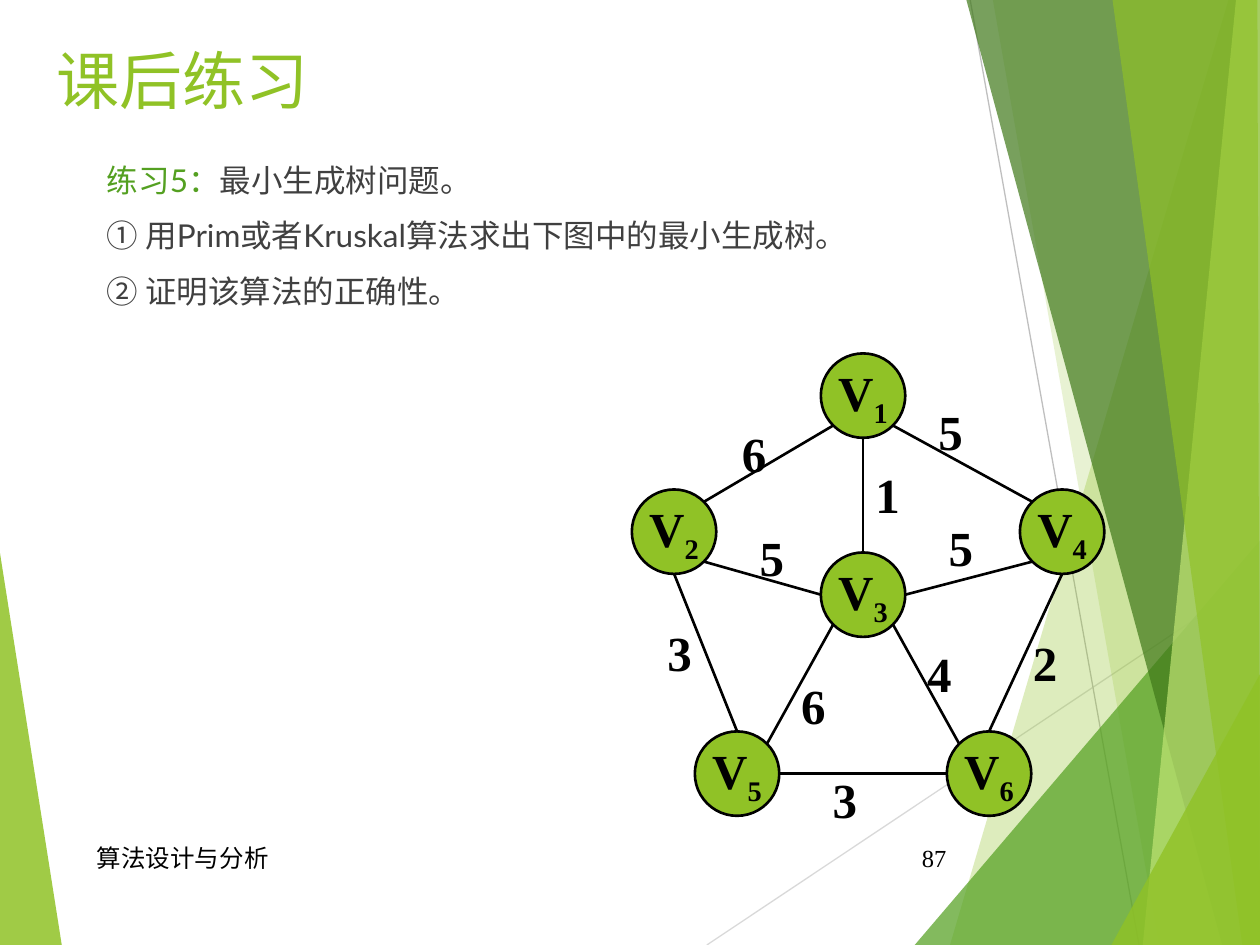
import pptx
import pptx.util
import pptx.dml.color
import pptx.enum.shapes
import pptx.enum.text
import pptx.oxml.ns
import lxml.etree
from dataclasses import dataclass

Inches = pptx.util.Inches
Pt = pptx.util.Pt
ALIGN = pptx.enum.text.PP_ALIGN
ANCHOR = pptx.enum.text.MSO_ANCHOR
SHAPE = pptx.enum.shapes.MSO_SHAPE


@dataclass(frozen=True)
class Theme:
    lime: str = "90C226"
    green: str = "54A021"
    forest: str = "3F7819"
    pale: str = "C0E474"
    body: str = "404040"
    ink: str = "000000"
    light_grey: str = "D9D9D9"
    grey: str = "BFBFBF"
    sans: str = "Lato"
    serif: str = "Times New Roman"
    title_size: int = 36
    body_size: int = 18
    footer_size: int = 14
    graph_size: int = 28


THEME = Theme()

BACKDROP = [
    ([(0, 4.39), (0.49, 7.5), (0, 7.5)], THEME.lime, 85),
    ([(9.75, 0), (7.54, 7.5), (10, 7.5), (10, 0)], THEME.lime, 30),
    ([(7.88, 0), (9.2, 7.5), (10, 7.5), (10, 0)], THEME.lime, 20),
    ([(7.26, 7.5), (10, 4.29), (10, 7.5)], THEME.green, 72),
    ([(7.67, 0), (9.7, 7.5), (10, 7.5), (10, 0)], THEME.forest, 70),
    ([(9.81, 0), (9.07, 7.5), (10, 7.5), (10, 0)], THEME.pale, 70),
    ([(8.83, 0), (9.86, 7.5), (10, 7.5), (9.98, 0)], THEME.lime, 65),
    ([(8.82, 7.5), (10, 5.35), (10, 7.5)], THEME.lime, 80),
]

RADIUS = 0.335
NODES = {
    "1": (6.85, 3.14), "2": (5.35, 4.22), "4": (8.43, 4.22),
    "3": (6.85, 4.72), "5": (5.85, 6.14), "6": (7.85, 6.14),
}
DIAGONAL = 0.71
SITES = {
    "n": (0, -1), "s": (0, 1), "w": (-1, 0), "e": (1, 0),
    "nw": (-DIAGONAL, -DIAGONAL), "ne": (DIAGONAL, -DIAGONAL),
    "sw": (-DIAGONAL, DIAGONAL), "se": (DIAGONAL, DIAGONAL),
}
EDGES = [
    ("1", "sw", "2", "ne", "6", 5.35, 3.31, ALIGN.RIGHT),
    ("2", "s", "5", "n", "3", 4.76, 4.89, ALIGN.RIGHT),
    ("1", "se", "4", "nw", "5", 7.35, 3.14, ALIGN.LEFT),
    ("4", "s", "6", "n", "2", 8.1, 4.97, ALIGN.LEFT),
    ("6", "w", "5", "e", "3", 6.51, 6.06, ALIGN.LEFT),
    ("3", "sw", "5", "ne", "6", 6.26, 5.31, ALIGN.LEFT),
    ("3", "w", "2", "se", "5", 5.93, 4.14, ALIGN.LEFT),
    ("1", "s", "3", "n", "1", 6.85, 3.64, ALIGN.LEFT),
    ("4", "sw", "3", "e", "5", 7.43, 4.06, ALIGN.LEFT),
    ("3", "se", "6", "nw", "4", 7.26, 5.06, ALIGN.LEFT),
]


def rgb(color):
    return pptx.dml.color.RGBColor.from_string(color)


def add_run(p, text, *, size, font, color, bold=False, baseline=None):
    r = p.add_run()
    r.text = text
    r.font.size = Pt(size)
    r.font.name = font
    r.font.bold = bold
    r.font.color.rgb = rgb(color)
    if baseline is not None:
        r.font._element.set("baseline", str(baseline * 1000))
    return r


def add_box(s, left, top, width, height, anchor=ANCHOR.TOP):
    sp = s.shapes.add_textbox(Inches(left), Inches(top), Inches(width), Inches(height))
    sp.text_frame.word_wrap = True
    sp.text_frame.vertical_anchor = anchor
    return sp.text_frame


def add_label(s, text, left, top, width, height, *, align=ALIGN.LEFT, anchor=ANCHOR.TOP, **fmt):
    p = add_box(s, left, top, width, height, anchor).paragraphs[0]
    p.alignment = align
    add_run(p, text, **fmt)


def add_facet(s, points, color, opacity):
    points = [(Inches(x), Inches(y)) for x, y in points]
    builder = s.shapes.build_freeform(*points[0])
    builder.add_line_segments(points[1:], close=True)
    sp = builder.convert_to_shape()
    sp.shadow.inherit = False
    sp.fill.solid()
    sp.fill.fore_color.rgb = rgb(color)
    sp.line.fill.background()
    clr = sp._element.spPr.find(".//" + pptx.oxml.ns.qn("a:srgbClr"))
    alpha = lxml.etree.SubElement(clr, pptx.oxml.ns.qn("a:alpha"))
    alpha.set("val", str(opacity * 1000))


def add_line(s, start, end, color, width):
    ends = [Inches(v) for v in (*start, *end)]
    cx = s.shapes.add_connector(pptx.enum.shapes.MSO_CONNECTOR.STRAIGHT, *ends)
    cx.line.color.rgb = rgb(color)
    cx.line.width = Pt(width)
    lxml.etree.SubElement(cx._element.spPr, pptx.oxml.ns.qn("a:effectLst"))


def add_backdrop(s):
    add_facet(s, *BACKDROP[0])
    add_line(s, (5.61, 7.5), (10, 4.57), THEME.light_grey, 0.75)
    add_line(s, (7.7, 0), (9.04, 7.5), THEME.grey, 0.75)
    for facet in BACKDROP[1:]:
        add_facet(s, *facet)


def add_title(s, text):
    sp = s.shapes.title
    s.shapes._spTree.append(sp._element)
    sp.left, sp.top, sp.width, sp.height = map(Inches, (0.35, 0.28, 8.5, 0.79))
    tf = sp.text_frame
    tf.vertical_anchor = ANCHOR.TOP
    p = tf.paragraphs[0]
    p.alignment = ALIGN.LEFT
    add_run(p, text, size=THEME.title_size, font=THEME.sans, color=THEME.lime)


def add_exercise(s, lines):
    tf = add_box(s, 0.75, 1.23, 8.5, 5.44)
    for i, runs in enumerate(lines):
        p = tf.paragraphs[0] if i == 0 else tf.add_paragraph()
        p.space_before = Pt(10 if i else 0)
        pPr = p._p.get_or_add_pPr()
        pPr.set("marL", str(Inches(0.38)))
        pPr.set("indent", str(-Inches(0.38)))
        for text, color in runs:
            add_run(p, text, size=THEME.body_size, font=THEME.sans, color=color)


def add_node(s, index, x, y, fmt):
    side = Inches(2 * RADIUS)
    sp = s.shapes.add_shape(SHAPE.OVAL, Inches(x - RADIUS), Inches(y - RADIUS), side, side)
    sp.shadow.inherit = False
    sp.fill.solid()
    sp.fill.fore_color.rgb = rgb(THEME.lime)
    sp.line.color.rgb = rgb(THEME.ink)
    sp.line.width = Pt(1.5)
    tf = sp.text_frame
    tf.word_wrap = False
    tf.vertical_anchor = ANCHOR.MIDDLE
    p = tf.paragraphs[0]
    p.alignment = ALIGN.CENTER
    add_run(p, "V", **fmt)
    add_run(p, index, baseline=-25, **fmt)


def site(node, side):
    return [c + RADIUS * d for c, d in zip(NODES[node], SITES[side])]


def add_graph(s):
    fmt = dict(size=THEME.graph_size, font=THEME.serif, color=THEME.ink, bold=True)
    for index, (x, y) in NODES.items():
        add_node(s, index, x, y, fmt)
    for a, a_side, b, b_side, *_ in EDGES:
        add_line(s, site(a, a_side), site(b, b_side), THEME.ink, 1.5)
    for *_, weight, left, top, align in EDGES:
        add_label(s, weight, left, top, 0.83, 0.57, align=align, **fmt)


def main():
    prs = pptx.Presentation()
    prs.slide_width, prs.slide_height = Inches(10), Inches(7.5)
    s = prs.slides.add_slide(prs.slide_layouts[5])
    add_backdrop(s)
    add_title(s, "课后练习")
    add_exercise(s, [
        [("练习5：", THEME.green), ("最小生成树问题。", THEME.body)],
        [("① 用Prim或者Kruskal算法求出下图中的最小生成树。", THEME.body)],
        [("② 证明该算法的正确性。", THEME.body)],
    ])
    footer = dict(anchor=ANCHOR.MIDDLE, size=THEME.footer_size, font=THEME.serif, color=THEME.ink)
    add_label(s, "算法设计与分析", 0.67, 6.61, 5.06, 0.4, **footer)
    add_label(s, "87", 7.05, 6.61, 0.56, 0.4, align=ALIGN.RIGHT, **footer)
    add_graph(s)
    prs.save("out.pptx")


if __name__ == "__main__":
    main()
